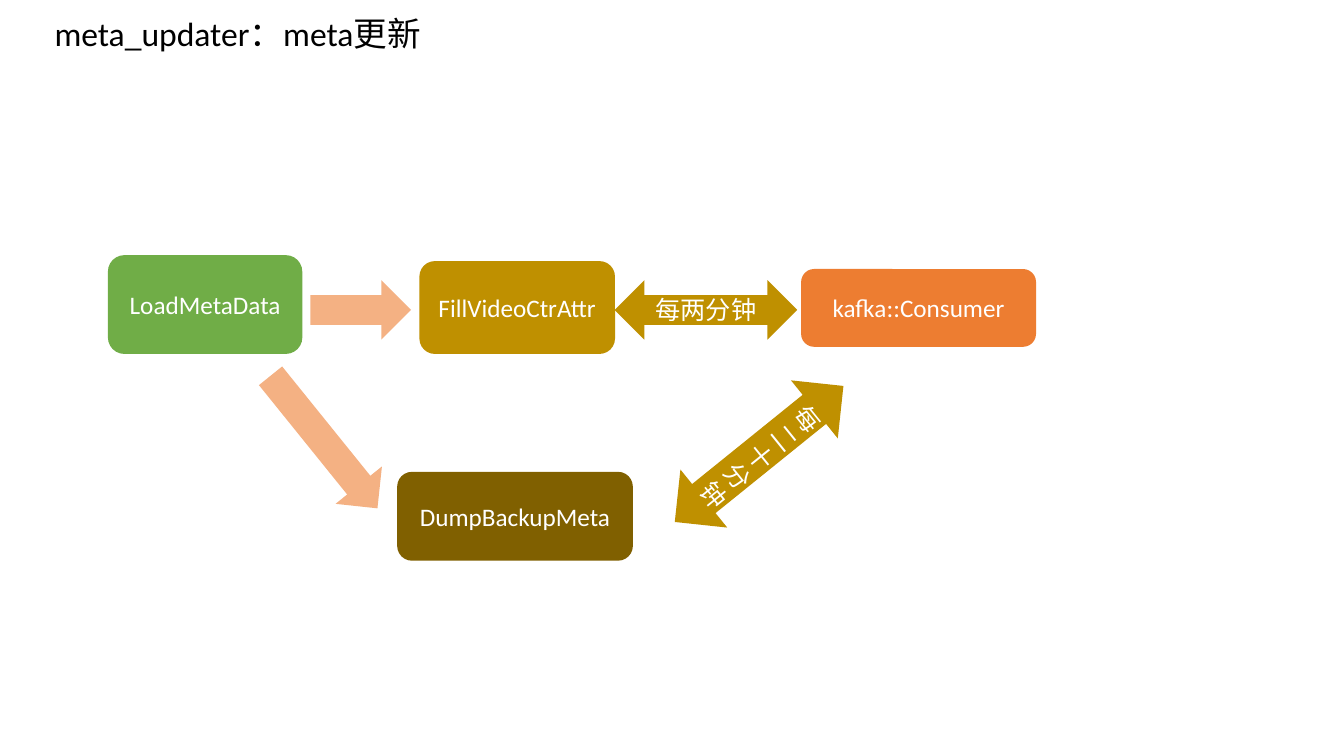
from pptx import Presentation
from pptx import util as u
from pptx.dml.color import RGBColor
from pptx.enum import shapes, text

COLORS = {
    "black": "000000", "white": "FFFFFF", "green": "70AD47", "gold": "BF9000",
    "brown": "806000", "orange": "ED7D31", "peach": "F4B183",
}
FONT = "Calibri"
TITLE = "meta_updater：meta更新"
TITLE_BOX = (1.12, 0.2, 32, 1.27)
TILT = 51.1  # shared by both diagonal arrows

# Label, colour, (left, top, width, height) in cm
STEPS = [
    ("LoadMetaData", "green", (2.72, 6.43, 4.9, 2.49)),
    ("FillVideoCtrAttr", "gold", (10.57, 6.58, 4.93, 2.34)),
    ("DumpBackupMeta", "brown", (10.01, 11.89, 5.94, 2.24)),
    ("kafka::Consumer", "orange", (20.19, 6.78, 5.92, 1.96)),
]
# Kind, label, colour, box, rotation
ARROWS = [
    ("RIGHT_ARROW", "", "peach", (7.82, 7.06, 2.54, 1.5), 0),
    ("LEFT_RIGHT_ARROW", "每两分钟", "gold", (15.49, 7.06, 4.6, 1.5), 0),
    ("UP_DOWN_ARROW", "每二十分钟", "gold", (18.19, 8.71, 1.88, 5.46), TILT),
    ("RIGHT_ARROW", "", "peach", (6.02, 10.39, 4.29, 1.5), TILT),
]


def rgb(name):
    return RGBColor.from_string(COLORS[name])


def write(sp, label, size, color, align, anchor):
    tf = sp.text_frame
    tf.text = label
    tf.word_wrap = True
    tf.auto_size = text.MSO_AUTO_SIZE.NONE
    tf.vertical_anchor = anchor
    p = tf.paragraphs[0]
    p.alignment = align
    p.font.name, p.font.size = FONT, u.Pt(size)
    p.font.color.rgb = rgb(color)


def add_block(slide, kind, label, color, box, rotation=0):
    sp = slide.shapes.add_shape(shapes.MSO_SHAPE[kind], *map(u.Cm, box))
    sp.rotation = rotation
    sp.shadow.inherit = False
    sp.fill.solid()
    sp.fill.fore_color.rgb = rgb(color)
    sp.line.fill.background()
    if label:
        write(sp, label, 18, "white", text.PP_ALIGN.CENTER, text.MSO_ANCHOR.MIDDLE)


prs = Presentation()
prs.slide_width, prs.slide_height = u.Cm(33.87), u.Cm(19.05)
slide = prs.slides.add_slide(prs.slide_layouts.get_by_name("Title Only"))

# Title
title = slide.shapes.title
title.left, title.top, title.width, title.height = map(u.Cm, TITLE_BOX)
write(title, TITLE, 24, "black", text.PP_ALIGN.LEFT, text.MSO_ANCHOR.TOP)

# Steps and the arrows between them
for step in STEPS:
    add_block(slide, "ROUNDED_RECTANGLE", *step)
for arrow in ARROWS:
    add_block(slide, *arrow)

prs.save("out.pptx")
